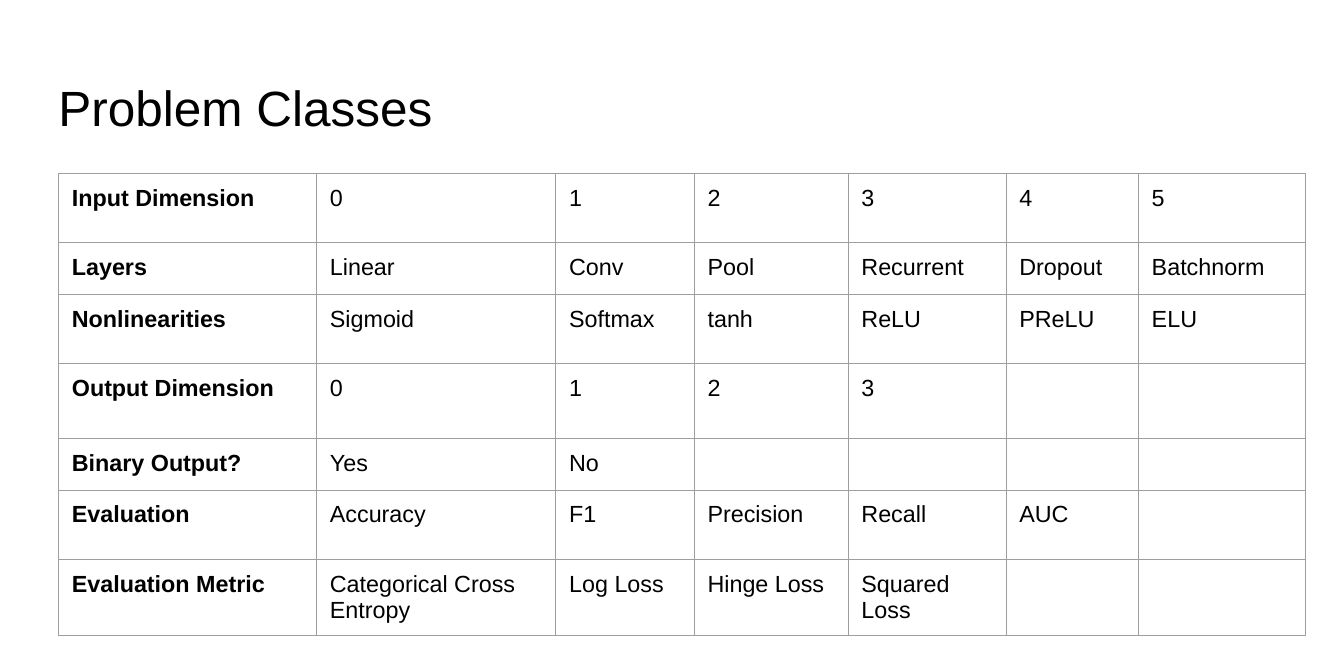
from lxml import etree
from pptx import Presentation
from pptx.dml.color import RGBColor
from pptx.enum.text import MSO_ANCHOR, MSO_AUTO_SIZE, PP_ALIGN
from pptx.oxml.ns import qn
from pptx.util import Inches, Pt

TOP = MSO_ANCHOR.TOP
NO_AUTOFIT = MSO_AUTO_SIZE.NONE
LEFT = PP_ALIGN.LEFT
BLACK = RGBColor(0x00, 0x00, 0x00)
GRID_GREY = RGBColor(0x9E, 0x9E, 0x9E)
FONT = "Arial"

TITLE = "Problem Classes"
PROBLEM_CLASSES = [
    ("Input Dimension", ["0", "1", "2", "3", "4", "5"], 1.03),
    ("Layers", ["Linear", "Conv", "Pool", "Recurrent", "Dropout", "Batchnorm"], 0.77),
    ("Nonlinearities", ["Sigmoid", "Softmax", "tanh", "ReLU", "PReLU", "ELU"], 1.03),
    ("Output Dimension", ["0", "1", "2", "3"], 1.11),
    ("Binary Output?", ["Yes", "No"], 0.77),
    ("Evaluation", ["Accuracy", "F1", "Precision", "Recall", "AUC"], 1.03),
    ("Evaluation Metric",
     ["Categorical Cross Entropy", "Log Loss", "Hinge Loss", "Squared Loss"], 1.11),
]
COLUMN_WIDTHS = [3.84, 3.56, 2.06, 2.29, 2.35, 1.97, 2.49]


def style_text(paragraph, size, bold=False):
    paragraph.alignment = LEFT
    for run in paragraph.runs:
        run.font.name = FONT
        run.font.size = Pt(size)
        run.font.bold = bold
        run.font.color.rgb = BLACK


def add_borders(cell):
    properties = cell._tc.get_or_add_tcPr()
    for position, side in enumerate(("a:lnL", "a:lnR", "a:lnT", "a:lnB")):
        line = etree.Element(qn(side), w=str(Pt(0.75)))
        fill = etree.SubElement(line, qn("a:solidFill"))
        etree.SubElement(fill, qn("a:srgbClr"), val=str(GRID_GREY))
        properties.insert(position, line)


def fill_cell(cell, text, bold):
    cell.margin_left = cell.margin_right = Inches(0.2)
    cell.margin_top = cell.margin_bottom = Inches(0.18)
    cell.vertical_anchor = TOP
    cell.fill.background()
    add_borders(cell)
    if text:
        cell.text_frame.text = text
        style_text(cell.text_frame.paragraphs[0], 25, bold)


def add_title(slide):
    title = slide.shapes.title
    title.left, title.top = Inches(0.68), Inches(0.87)
    title.width, title.height = Inches(18.64), Inches(1.11)
    frame = title.text_frame
    frame.text = TITLE
    frame.word_wrap = True
    frame.auto_size = NO_AUTOFIT
    frame.vertical_anchor = TOP
    frame.margin_left = frame.margin_right = frame.margin_bottom = Inches(0.19)
    frame.margin_top = Inches(0.27)
    style_text(frame.paragraphs[0], 53)


def add_class_table(slide):
    heights = [height for _, _, height in PROBLEM_CLASSES]
    table = slide.shapes.add_table(
        len(heights), len(COLUMN_WIDTHS), Inches(0.87), Inches(2.58),
        Inches(sum(COLUMN_WIDTHS)), Inches(sum(heights))).table
    table.first_row = table.horz_banding = False
    for column, width in zip(table.columns, COLUMN_WIDTHS):
        column.width = Inches(width)
    for row, (label, options, height) in zip(table.rows, PROBLEM_CLASSES):
        row.height = Inches(height)
        blanks = [""] * (len(COLUMN_WIDTHS) - 1 - len(options))
        for index, text in enumerate([label] + options + blanks):
            fill_cell(row.cells[index], text, bold=index == 0)


def main():
    presentation = Presentation()
    presentation.slide_width = Inches(20)
    presentation.slide_height = Inches(10)
    slide = presentation.slides.add_slide(presentation.slide_layouts[5])
    add_class_table(slide)
    add_title(slide)
    presentation.save("out.pptx")


if __name__ == "__main__":
    main()
